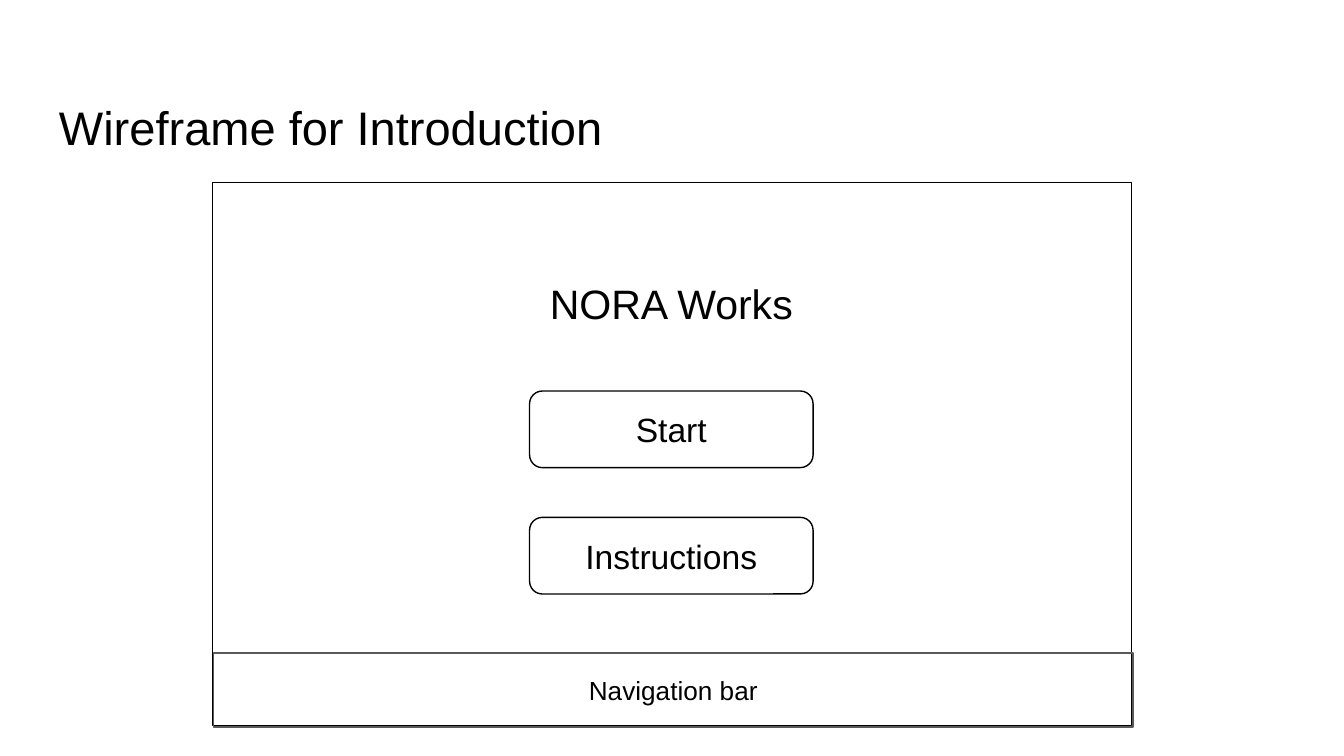
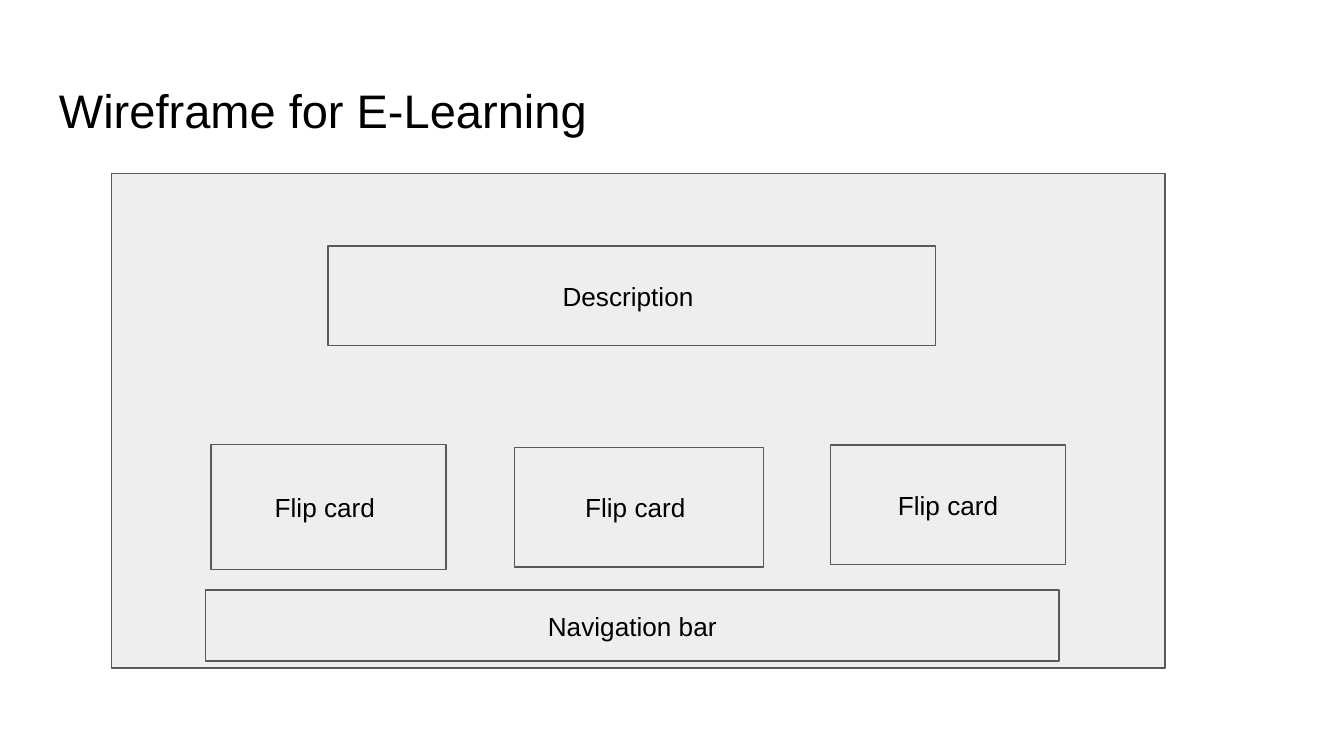
from pptx import Presentation
from pptx.dml.color import RGBColor
from pptx.enum.shapes import MSO_SHAPE
from pptx.enum.text import MSO_ANCHOR, PP_ALIGN
from pptx.util import Inches, Pt

BLACK = RGBColor(0x00, 0x00, 0x00)
GRAY = RGBColor(0x59, 0x59, 0x59)
LIGHT = RGBColor(0xEE, 0xEE, 0xEE)
FONT = "Arial"


def write(shape, text, size, align=PP_ALIGN.CENTER, anchor=MSO_ANCHOR.MIDDLE):
    frame = shape.text_frame
    frame.word_wrap = True
    frame.vertical_anchor = anchor
    frame.margin_left = frame.margin_right = Inches(0.1)
    frame.margin_top = frame.margin_bottom = Inches(0.1)
    paragraph = frame.paragraphs[0]
    paragraph.alignment = align
    run = paragraph.add_run()
    run.text = text
    run.font.name = FONT
    run.font.size = Pt(size)
    run.font.color.rgb = BLACK


def add_block(slide, box, text="", size=14, line=GRAY, fill=None, kind=MSO_SHAPE.RECTANGLE):
    """Add an outlined wireframe block; box is left, top, width, height in inches."""
    block = slide.shapes.add_shape(kind, *map(Inches, box))
    block.shadow.inherit = False
    block.line.color.rgb = line
    block.line.width = Pt(0.75)
    if fill is None:
        block.fill.background()
    else:
        block.fill.solid()
        block.fill.fore_color.rgb = fill
    if text:
        write(block, text, size)


prs = Presentation()
prs.slide_width = Inches(10)
prs.slide_height = Inches(10 * 9 / 16)

slides = []
for title, top in [("Wireframe for Introduction", 0.63), ("Wireframe for E-Learning", 0.51)]:
    slide = prs.slides.add_slide(prs.slide_layouts[6])
    heading = slide.shapes.add_textbox(Inches(0.34), Inches(top), Inches(9.32), Inches(0.63))
    write(heading, title, 25.2, PP_ALIGN.LEFT, MSO_ANCHOR.TOP)
    slides.append(slide)
introduction, e_learning = slides

# Introduction: start screen with two buttons
add_block(introduction, (1.58, 1.36, 6.84, 4.04), line=BLACK)
app_name = introduction.shapes.add_textbox(Inches(3.82), Inches(1.97), Inches(2.35), Inches(0.57))
write(app_name, "NORA Works", 22, anchor=MSO_ANCHOR.TOP)
for row, label in enumerate(["Start", "Instructions"]):
    add_block(introduction, (3.94, 2.91 + 0.94 * row, 2.11, 0.57), label, 18, BLACK,
              kind=MSO_SHAPE.ROUNDED_RECTANGLE)
add_block(introduction, (1.59, 4.86, 6.84, 0.55), "Navigation bar")

# E-Learning: description, flip cards and navigation on a gray screen
for box, label in [
    ((0.83, 1.29, 7.84, 3.68), ""),
    ((1.57, 3.31, 1.75, 0.93), "Flip card "),
    ((3.83, 3.33, 1.85, 0.89), "Flip card "),
    ((6.18, 3.31, 1.75, 0.89), "Flip card"),
    ((2.44, 1.83, 4.52, 0.74), "Description "),
    ((1.53, 4.39, 6.35, 0.53), "Navigation bar"),
]:
    add_block(e_learning, box, label, fill=LIGHT)

prs.save("out.pptx")
